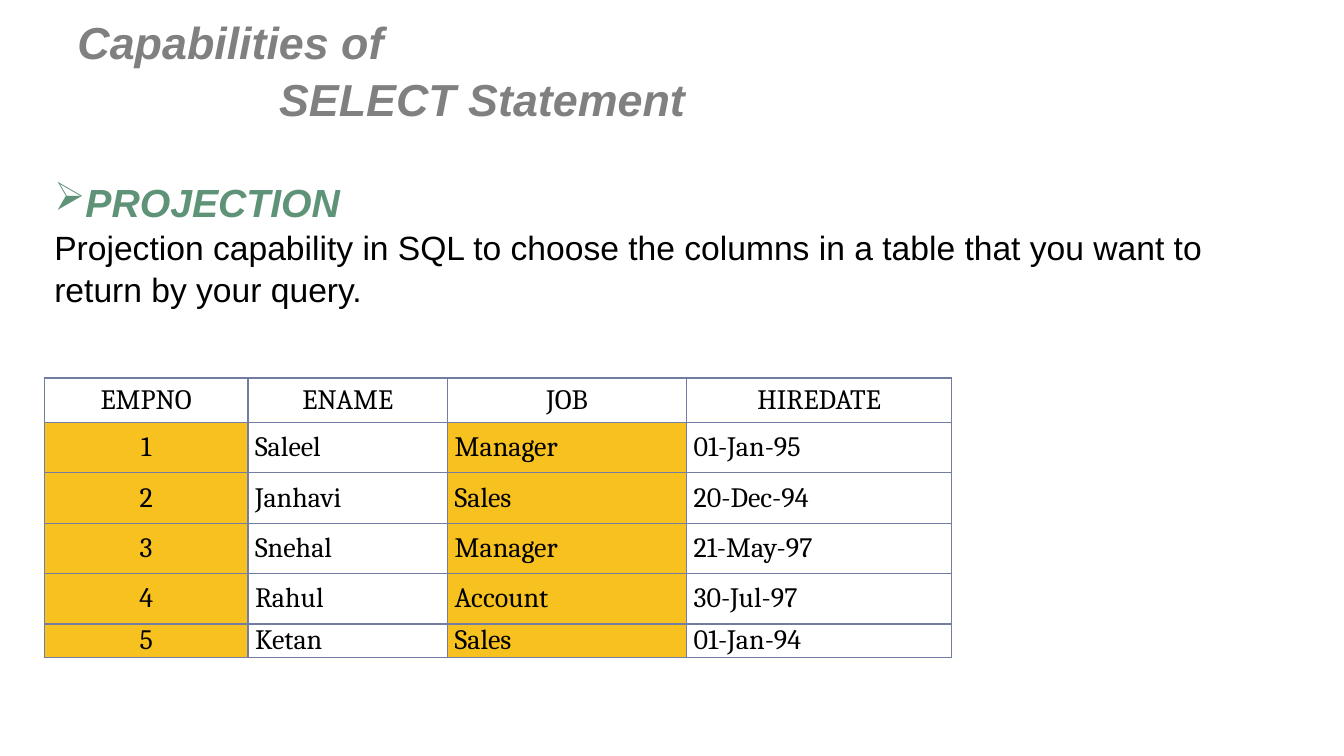
from lxml import etree
from pptx import Presentation
from pptx.dml.color import RGBColor
from pptx.enum.text import MSO_ANCHOR, MSO_AUTO_SIZE, PP_ALIGN
from pptx.oxml.ns import qn
from pptx.util import Inches, Pt

BOTTOM, MIDDLE = MSO_ANCHOR.BOTTOM, MSO_ANCHOR.MIDDLE
LEFT, CENTER = PP_ALIGN.LEFT, PP_ALIGN.CENTER
NO_AUTO_SIZE = MSO_AUTO_SIZE.NONE

GREY, GREEN, BLACK = "808080", "5F9378", "000000"
GOLD, BORDER = "F7C120", "727CA3"

COLUMN_WIDTHS = [2.02, 1.98, 2.37, 2.63]
ROW_HEIGHTS = [0.44, 0.5, 0.5, 0.5, 0.5, 0.33]
CENTERED_COLUMN = 0
PROJECTED_COLUMNS = (0, 2)
EMPLOYEES = [
    ("EMPNO", "ENAME", "JOB", "HIREDATE"),
    ("1", "Saleel", "Manager", "01-Jan-95"),
    ("2", "Janhavi", "Sales", "20-Dec-94"),
    ("3", "Snehal", "Manager", "21-May-97"),
    ("4", "Rahul", "Account", "30-Jul-97"),
    ("5", "Ketan", "Sales", "01-Jan-94"),
]


def color(value):
    return RGBColor.from_string(value)


def add_run(paragraph, text, size, font_name, font_color, emphasis=False):
    run = paragraph.add_run()
    run.text = text
    run.font.size = Pt(size)
    run.font.name = font_name
    run.font.color.rgb = color(font_color)
    run.font.bold = emphasis
    run.font.italic = emphasis


def add_text_frame(slide, left, top, width, height):
    shape = slide.shapes.add_textbox(
        Inches(left), Inches(top), Inches(width), Inches(height))
    frame = shape.text_frame
    frame.word_wrap = True
    frame.auto_size = NO_AUTO_SIZE
    return frame


def add_title(slide):
    frame = add_text_frame(slide, 0.67, 0.29, 12, 1)
    frame.vertical_anchor = BOTTOM
    add_run(frame.paragraphs[0], "Capabilities of", 32, "Arial", GREY, True)
    paragraph = frame.add_paragraph()
    paragraph._p.get_or_add_pPr().set("marL", str(Inches(2)))
    add_run(paragraph, "SELECT Statement", 32, "Arial", GREY, True)
    for paragraph in frame.paragraphs:
        paragraph.line_spacing = 1.05


def add_bullet(paragraph, character):
    properties = paragraph._p.get_or_add_pPr()
    bullet = etree.SubElement(properties, qn("a:buChar"))
    bullet.set("char", character)


def add_description(slide):
    frame = add_text_frame(slide, 0.44, 1.25, 12.52, 1.85)
    heading = frame.paragraphs[0]
    add_bullet(heading, "➢")
    heading.line_spacing = 2.0
    add_run(heading, "PROJECTION", 28, "Arial", GREEN, True)
    description = frame.add_paragraph()
    description.line_spacing = 1.05
    add_run(
        description,
        "Projection capability in SQL to choose the columns in a table "
        "that you want to return by your query.",
        24, "Arial", BLACK)


def add_cell_borders(cell):
    properties = cell._tc.get_or_add_tcPr()
    for position, side in enumerate(("a:lnL", "a:lnR", "a:lnT", "a:lnB")):
        line = etree.Element(qn(side), w=str(Pt(1)))
        fill = etree.SubElement(line, qn("a:solidFill"))
        etree.SubElement(fill, qn("a:srgbClr"), val=BORDER)
        properties.insert(position, line)


def fill_cell(cell, text, centered, projected):
    cell.vertical_anchor = MIDDLE
    cell.margin_left = cell.margin_right = Inches(0.07)
    cell.margin_top = cell.margin_bottom = 0
    if projected:
        cell.fill.solid()
        cell.fill.fore_color.rgb = color(GOLD)
    else:
        cell.fill.background()
    add_cell_borders(cell)
    paragraph = cell.text_frame.paragraphs[0]
    paragraph.alignment = CENTER if centered else LEFT
    add_run(paragraph, text, 20, "Cambria", BLACK)


def add_employee_table(slide):
    table = slide.shapes.add_table(
        len(EMPLOYEES), len(COLUMN_WIDTHS), Inches(0.44), Inches(3.75),
        Inches(sum(COLUMN_WIDTHS)), Inches(sum(ROW_HEIGHTS))).table
    table.first_row = False
    table.horz_banding = False
    for column, width in zip(table.columns, COLUMN_WIDTHS):
        column.width = Inches(width)
    for row, height in zip(table.rows, ROW_HEIGHTS):
        row.height = Inches(height)
    for row_index, employee in enumerate(EMPLOYEES):
        is_header = row_index == 0
        for column_index, text in enumerate(employee):
            fill_cell(
                table.cell(row_index, column_index), text,
                is_header or column_index == CENTERED_COLUMN,
                not is_header and column_index in PROJECTED_COLUMNS)


def main():
    presentation = Presentation()
    presentation.slide_width = Inches(13.33)
    presentation.slide_height = Inches(7.5)
    slide = presentation.slides.add_slide(presentation.slide_layouts[6])
    add_description(slide)
    add_employee_table(slide)
    add_title(slide)
    presentation.save("out.pptx")


if __name__ == "__main__":
    main()
